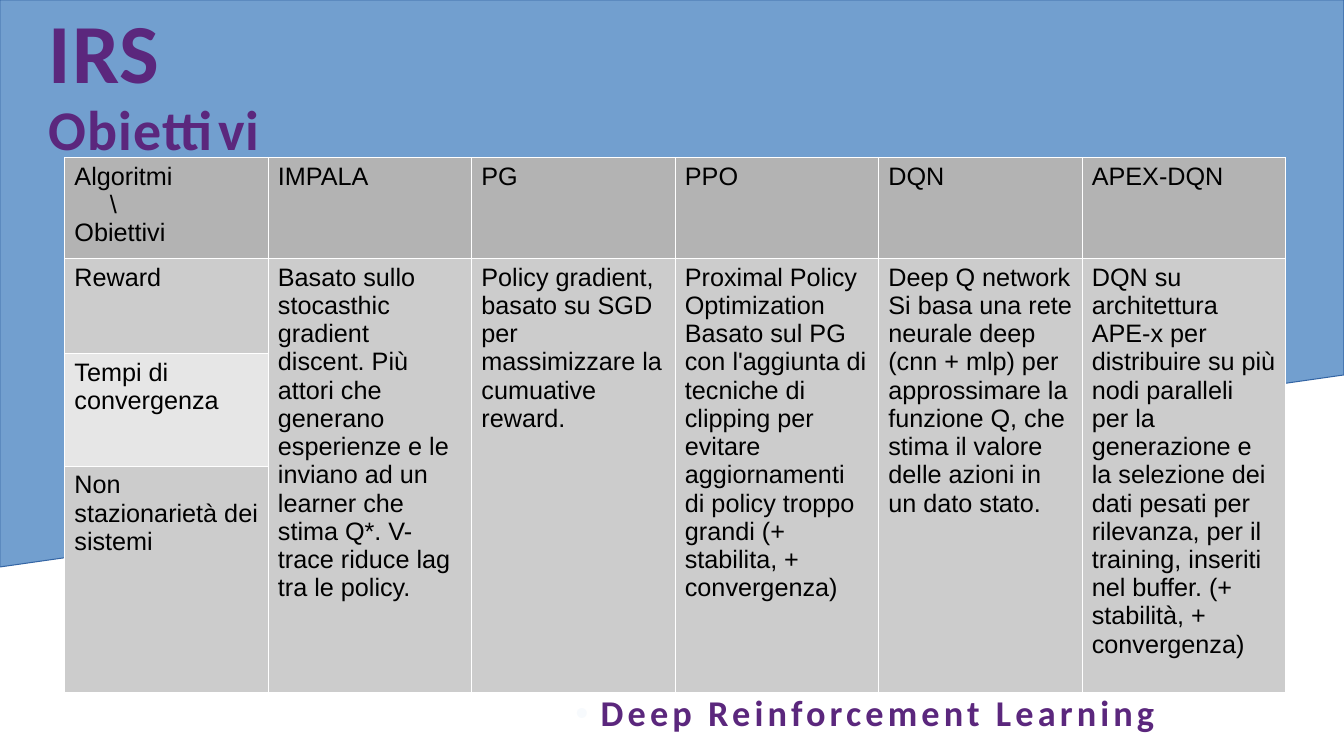
import pptx
import pptx.util
import pptx.dml.color
import pptx.enum.text
import pptx.oxml

Inches, Pt, Cm = pptx.util.Inches, pptx.util.Pt, pptx.util.Cm
RGB = pptx.dml.color.RGBColor
NS = 'xmlns:a="http://schemas.openxmlformats.org/drawingml/2006/main"'

TITLE = [("IRS", 60), ("Obiettivi", 40)]
FOOT = "Deep Reinforcement Learning"
HEAD = ["Algoritmi\n\\\nObiettivi", "IMPALA", "PG", "PPO", "DQN", "APEX-DQN"]
GOALS = ["Reward", "Tempi di convergenza", "Non stazionarietà dei sistemi"]
NOTES = [
    "Basato sullo stocasthic gradient discent. Più attori che generano "
    "esperienze e le inviano ad un learner che stima Q*. V-trace riduce lag "
    "tra le policy.",
    "Policy gradient, basato su SGD per massimizzare la cumuative reward.",
    "Proximal Policy Optimization Basato sul PG con l'aggiunta di tecniche di "
    "clipping per evitare aggiornamenti di policy troppo grandi (+ stabilita, "
    "+ convergenza)",
    "Deep Q network Si basa una rete neurale deep (cnn + mlp) per approssimare "
    "la funzione Q, che stima il valore delle azioni in un dato stato.",
    "DQN su architettura APE-x per distribuire su più nodi paralleli per la "
    "generazione e la selezione dei dati pesati per rilevanza, per il "
    "training, inseriti nel buffer. (+ stabilità, + convergenza)",
]

BLUE, EDGE = RGB(0x72, 0x9F, 0xCF), RGB(0x34, 0x65, 0xA4)
PURPLE, BLACK = RGB(0x5B, 0x27, 0x7D), RGB(0, 0, 0)
DARK, MID, PALE = (RGB(n, n, n) for n in (0xB3, 0xCC, 0xE6))
WIDE, HIGH = Inches(13.33), Inches(7.5)
GRID = [Inches(n) for n in (0.64, 1.56, 12.11, 4.96)]
ROWS = [0.94, 0.94, 1.12, 1.96]


def add_xml(node, text):
    node.append(pptx.oxml.parse_xml(text))


def style(font, name, size, color, bold):
    font.name, font.size, font.bold = name, Pt(size), bold
    font.color.rgb = color


def add_panel(slide):
    """Slanted blue backdrop, placed behind everything."""
    pen = slide.shapes.build_freeform(0, round(HIGH * 0.75))
    pen.add_line_segments([(0, 0), (WIDE, 0), (WIDE, round(HIGH * 0.496))])
    panel = pen.convert_to_shape()
    panel.shadow.inherit = False
    panel.fill.solid()
    panel.fill.fore_color.rgb = BLUE
    panel.line.color.rgb = EDGE
    panel.line.width = 0
    tree = panel._element.getparent()
    tree.insert(2, panel._element)


def add_title(slide):
    title = slide.shapes.title
    title.left, title.top = Inches(0.48), Inches(-0.1)
    title.width, title.height = Inches(10.24), Inches(1.92)
    frame = title.text_frame
    frame.auto_size = pptx.enum.text.MSO_AUTO_SIZE.NONE
    frame.vertical_anchor = pptx.enum.text.MSO_ANCHOR.MIDDLE
    frame.margin_left = frame.margin_right = 0
    frame.margin_top = frame.margin_bottom = 0
    para = frame.paragraphs[0]
    para.alignment = pptx.enum.text.PP_ALIGN.LEFT
    para.line_spacing = 0.9
    for i, (text, size) in enumerate(TITLE):
        if i:
            para.add_line_break()
        run = para.add_run()
        run.text = text
        style(run.font, "Calibri", size, PURPLE, True)
        run.font._element.set("spc", "90")


def add_foot(slide):
    box = slide.shapes.add_textbox(*map(Inches, (5.61, 6.85, 7.66, 0.59)))
    box.text_frame.word_wrap = True
    para = box.text_frame.paragraphs[0]
    para.line_spacing, para.space_before = 0.9, Pt(10)
    run = para.add_run()
    run.text = FOOT
    style(run.font, "Calibri", 25.9, PURPLE, True)
    run.font._element.set("spc", "295")
    props = para._p.get_or_add_pPr()
    props.set("marL", str(Inches(0.25)))
    props.set("indent", str(Inches(-0.25)))
    add_xml(props, f'<a:buClr {NS}><a:srgbClr val="F7FAFD"/></a:buClr>')
    add_xml(props, f'<a:buFont {NS} typeface="Arial"/>')
    add_xml(props, f'<a:buChar {NS} char="•"/>')


def paint(cell, fill):
    """Give a cell its margins, thin white borders and fill."""
    cell.margin_left = cell.margin_right = Cm(0.25)
    cell.margin_top = cell.margin_bottom = Cm(0.13)
    props = cell._tc.get_or_add_tcPr()
    for side in "LRTB":
        add_xml(props, f'<a:ln{side} {NS} w="720"><a:solidFill>'
                       f'<a:srgbClr val="FFFFFF"/></a:solidFill></a:ln{side}>')
    cell.fill.solid()
    cell.fill.fore_color.rgb = fill


def write(cell, text):
    """Fonts sit on runs, since row heights are measured from them."""
    cell.text = text
    for para in cell.text_frame.paragraphs:
        for run in para.runs:
            style(run.font, "Arial", 18, BLACK, False)


def add_grid(slide):
    table = slide.shapes.add_table(len(ROWS), len(HEAD), *GRID).table
    table.first_row = table.horz_banding = False
    for row, size in zip(table.rows, ROWS):
        row.height = Inches(size)
    for r in range(len(ROWS)):
        for c in range(len(HEAD)):
            fill = DARK if r == 0 else PALE if (r, c) == (2, 0) else MID
            paint(table.cell(r, c), fill)
    for c, text in enumerate(HEAD):
        write(table.cell(0, c), text)
    for r, text in enumerate(GOALS, 1):
        write(table.cell(r, 0), text)
    for c, text in enumerate(NOTES, 1):
        table.cell(1, c).merge(table.cell(len(GOALS), c))
        write(table.cell(1, c), text)
    slash = table.cell(0, 0).text_frame.paragraphs[1]
    slash._p.get_or_add_pPr().set("marL", str(Inches(0.35)))


def main():
    deck = pptx.Presentation()
    deck.slide_width, deck.slide_height = WIDE, HIGH
    slide = deck.slides.add_slide(deck.slide_layouts[5])
    add_panel(slide)
    add_title(slide)
    add_foot(slide)
    add_grid(slide)
    deck.save("out.pptx")


if __name__ == "__main__":
    main()
